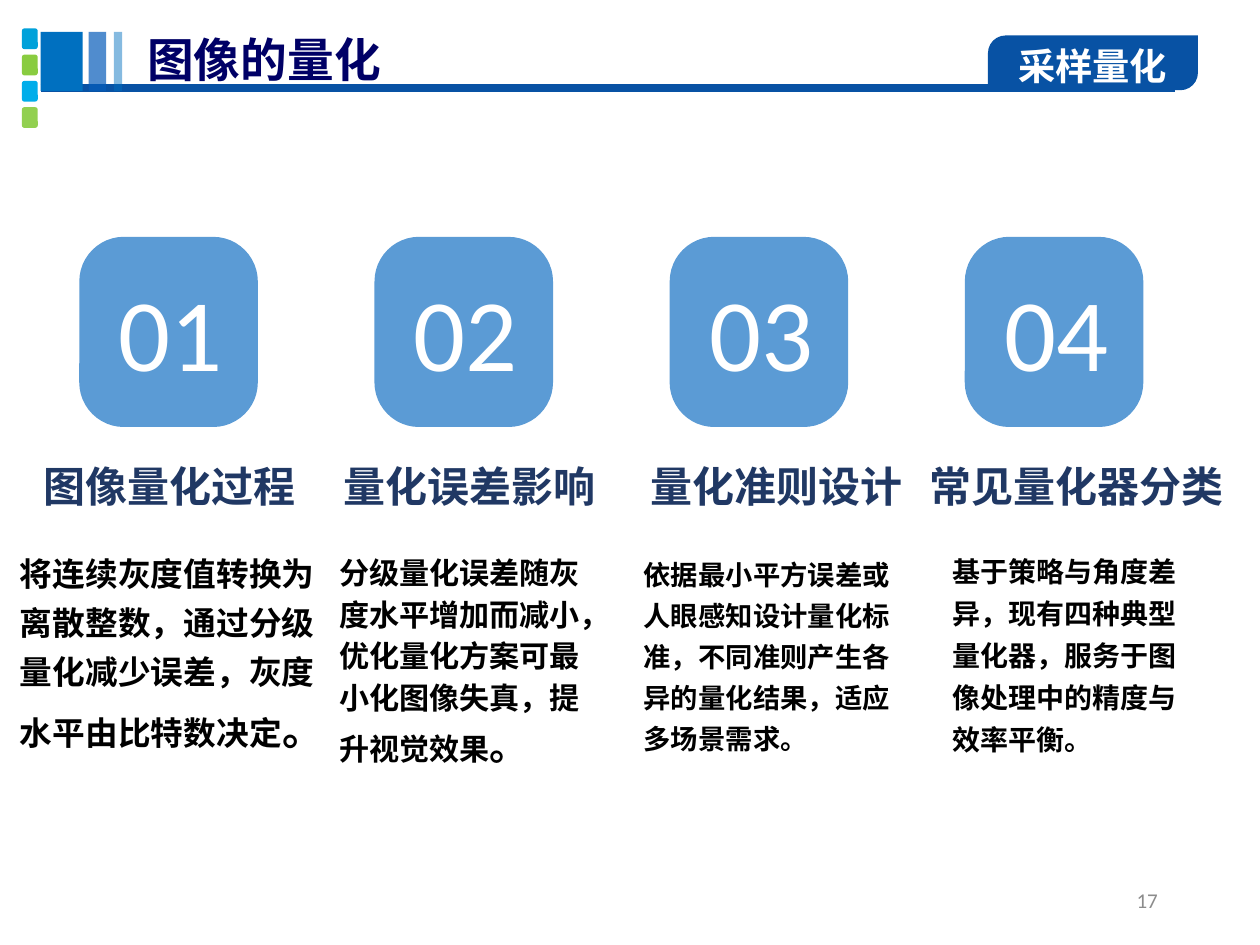
from pptx import Presentation
from pptx.dml import color
from pptx.enum import shapes, text
from pptx.oxml import ns, xmlchemy
from pptx.util import Pt

CHINESE = "Noto Sans CJK SC"
LATIN = "Calibri"
SHAPE = shapes.MSO_SHAPE
ALIGN = text.PP_ALIGN
ANCHOR = text.MSO_ANCHOR
AUTO = text.MSO_AUTO_SIZE


def rgb(value):
    return color.RGBColor.from_string(value)


def add_child(parent, tag):
    child = xmlchemy.OxmlElement(tag)
    parent.append(child)
    return child


def add_block(page, kind, left, top, width, height, fill, alpha=None):
    block = page.shapes.add_shape(kind, Pt(left), Pt(top), Pt(width), Pt(height))
    block.shadow.inherit = False
    block.fill.solid()
    block.fill.fore_color.rgb = rgb(fill)
    block.line.fill.background()
    if alpha is not None:
        tint = block._element.spPr.find(ns.qn("a:solidFill"))[0]
        add_child(tint, "a:alpha").set("val", str(alpha * 1000))
    return block


def set_frame(frame, margins=(0, 0, 0, 0), anchor=ANCHOR.TOP, wrap=True, auto=AUTO.NONE):
    frame.margin_left, frame.margin_top, frame.margin_right, frame.margin_bottom = map(Pt, margins)
    frame.vertical_anchor = anchor
    frame.word_wrap = wrap
    frame.auto_size = auto


def write(frame, spans, fill, font=CHINESE, bold=True, align=ALIGN.LEFT, spacing=1.0):
    para = frame.paragraphs[0]
    para.alignment = align
    para.line_spacing = spacing
    for words, size in spans:
        span = para.add_run()
        span.text = words
        span.font.size = Pt(size)
        span.font.bold = bold
        span.font.color.rgb = rgb(fill)
        span.font.name = font
        add_child(span._r.get_or_add_rPr(), "a:ea").set("typeface", font)


def add_text(page, left, top, width, height):
    return page.shapes.add_textbox(Pt(left), Pt(top), Pt(width), Pt(height)).text_frame


def add_header(page, left, top, title_text, section):
    for index, fill in enumerate(("00A1DA", "89CC40", "00ADEA", "92D050")):
        add_block(page, SHAPE.ROUNDED_RECTANGLE, left, top + 11.25 * index, 6.8, 8.9, fill)

    tab = add_block(page, SHAPE.ROUND_2_DIAG_RECTANGLE, left + 414, top + 3, 90, 23.5, "0852A4")
    tab.adjustments[0] = 0.321
    tab.adjustments[1] = 0

    rule = page.shapes.add_connector(
        shapes.MSO_CONNECTOR.STRAIGHT, Pt(left + 8), Pt(top + 25.4), Pt(left + 494), Pt(top + 25.4))
    rule.line.color.rgb = rgb("0852A4")
    rule.line.width = Pt(3.5)
    add_child(rule._element.spPr, "a:effectLst")

    bars = ((8, 18, "0070C0", None), (28.6, 7.5, "065CBA", 70), (39.4, 3.6, "0070C0", 48))
    for offset, width, fill, alpha in bars:
        add_block(page, SHAPE.RECTANGLE, left + offset, top + 1.5, width, 25.3, fill, alpha)

    label = add_text(page, left + 420, top + 3, 93.6, 26.6)
    set_frame(label, (7.2, 3.6, 7.2, 3.6), auto=AUTO.SHAPE_TO_FIT_TEXT)
    write(label, [(section, 16)], "FFFFFF")

    title = page.shapes.title
    title.left, title.top, title.width, title.height = map(Pt, (left + 39, top + 0.8, 129.6, 24.5))
    set_frame(title.text_frame, auto=AUTO.SHAPE_TO_FIT_TEXT)
    write(title.text_frame, [(title_text, 20)], "000066", align=ALIGN.CENTER)


def add_card(page, left, top, number, heading, heading_shift, body_box, spacing, spans):
    tile_width, heading_width = 76.5, 180
    tile = add_block(page, SHAPE.ROUNDED_RECTANGLE, left, top, tile_width, 81.5, "5B9BD5")
    tile.adjustments[0] = 0.25
    set_frame(tile.text_frame, (2, 0, 0, 6), ANCHOR.MIDDLE, wrap=False)
    write(tile.text_frame, [(f"{number:02}", 44)], "FFFFFF", LATIN, False, ALIGN.CENTER, 1.09)

    heading_left = left + (tile_width - heading_width) / 2 + heading_shift
    frame = add_text(page, heading_left, top + 93.6, heading_width, 31.7)
    set_frame(frame)
    write(frame, [(heading, 18)], "203864", align=ALIGN.CENTER, spacing=1.11)

    shift, drop, width, height = body_box
    frame = add_text(page, left + shift, top + drop, width, height)
    set_frame(frame)
    write(frame, spans, "000000", spacing=spacing)


def add_page_number(page, left, top, number):
    frame = add_text(page, left, top, 121.7, 21.6)
    set_frame(frame, (7.2, 3.6, 7.2, 3.6), ANCHOR.MIDDLE)
    write(frame, [(number, 9)], "8C8C8C", LATIN, False, ALIGN.RIGHT)


CARDS = (
    ("图像量化过程", 0.5, (-25.4, 131.8, 126.7, 95.8), 1.25,
     [("将连续灰度值转换为离散整数，通过分级量化减少误差，灰度水平由比特数决定", 14), ("。", 18)]),
    ("量化误差影响", 2.5, (-15, 134, 106.6, 95.8), 1.15,
     [("分级量化误差随灰度水平增加而减小，优化量化方案可最小化图像失真，提升视觉效果", 12.9), ("。", 16.6)]),
    ("量化准则设计", 7.4, (-11.2, 134, 113, 106.6), 1.25,
     [("依据最小平方误差或人眼感知设计量化标准，不同准则产生各异的量化结果，适应多场景需求。", 11.7)]),
    ("常见量化器分类", 9.8, (-5.2, 132.5, 107.3, 95.8), 1.25,
     [("基于策略与角度差异，现有四种典型量化器，服务于图像处理中的精度与效率平衡。", 12)]),
)


def main():
    deck = Presentation()
    deck.slide_width, deck.slide_height = Pt(540), Pt(405)
    page = deck.slides.add_slide(deck.slide_layouts[5])
    add_header(page, 9.4, 12.2, "图像的量化", "采样量化")
    for index, card in enumerate(CARDS):
        add_card(page, 34 + 126.5 * index, 101.5, index + 1, *card)
    add_page_number(page, 381.6, 375.1, "17")
    deck.save("out.pptx")


if __name__ == "__main__":
    main()
